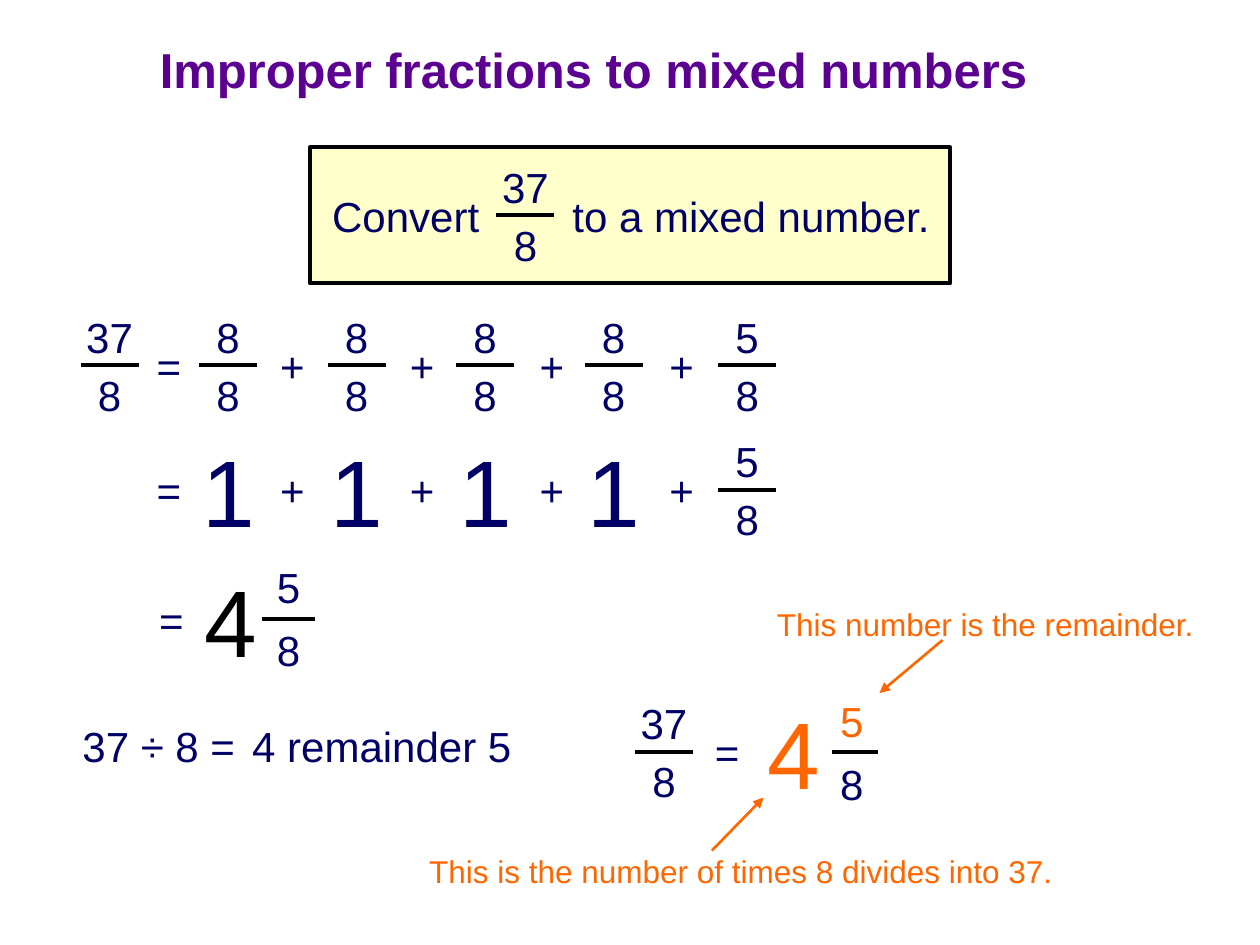
from pptx import Presentation
from pptx.dml.color import RGBColor
from pptx.enum.shapes import MSO_CONNECTOR, MSO_SHAPE
from pptx.enum.text import MSO_ANCHOR, MSO_AUTO_SIZE, PP_ALIGN
from pptx.oxml.ns import qn
from pptx.util import Inches, Pt
from lxml import etree

COLORS = {
    "title": "5B0091",
    "text": "010066",
    "black": "000000",
    "accent": "FF6600",
    "panel": "FFFFCC",
}

deck = Presentation()
deck.slide_width = Inches(10)
deck.slide_height = Inches(7.5)
page = deck.slides.add_slide(deck.slide_layouts[5])


def add_label(text, center, top, width=0.39, height=0.5, size=24, color="text"):
    box = page.shapes.add_textbox(
        Inches(center - width / 2), Inches(top), Inches(width), Inches(height)
    )
    box.text_frame.word_wrap = False
    box.text_frame.auto_size = MSO_AUTO_SIZE.SHAPE_TO_FIT_TEXT
    para = box.text_frame.paragraphs[0]
    para.alignment = PP_ALIGN.CENTER
    span = para.add_run()
    span.text = text
    span.font.name = "Arial"
    span.font.size = Pt(size)
    span.font.color.rgb = RGBColor.from_string(COLORS[color])


def add_line(start, end, color="black", weight=2.25, arrow=False):
    line = page.shapes.add_connector(
        MSO_CONNECTOR.STRAIGHT, *[Inches(value) for value in (*start, *end)]
    )
    line.line.color.rgb = RGBColor.from_string(COLORS[color])
    line.line.width = Pt(weight)
    if arrow:
        etree.SubElement(line.line._get_or_add_ln(), qn("a:tailEnd"), type="triangle")
    etree.SubElement(line._element.spPr, qn("a:effectLst"))


title = page.shapes.title
title.left, title.top = Inches(0.17), Inches(0.17)
title.width, title.height = Inches(9.08), Inches(0.75)
title.text_frame.text = "Improper fractions to mixed numbers"
title.text_frame.vertical_anchor = MSO_ANCHOR.MIDDLE
para = title.text_frame.paragraphs[0]
para.alignment = PP_ALIGN.CENTER
para.font.name = "Arial"
para.font.size = Pt(28)
para.font.bold = True
para.font.color.rgb = RGBColor.from_string(COLORS["title"])

panel = page.shapes.add_shape(
    MSO_SHAPE.RECTANGLE, Inches(2.46), Inches(1.17), Inches(5.08), Inches(1.08)
)
panel.shadow.inherit = False
panel.fill.solid()
panel.fill.fore_color.rgb = RGBColor.from_string(COLORS["panel"])
panel.line.color.rgb = RGBColor.from_string(COLORS["black"])
panel.line.width = Pt(2.25)
add_label("Convert", 3.22, 1.46, width=1.4)
add_label("to a mixed number.", 5.96, 1.46, width=3.15)

term_centers = [1.81 + 1.02 * column for column in range(4)]
plus_centers = [2.32 + 1.03 * column for column in range(4)]
last_center = 5.93

fractions = [("37", 4.17, 1.71), ("37", 0.87, 2.9), ("37", 5.27, 5.97)]
fractions += [("8", center, 2.9) for center in term_centers]
fractions += [("5", last_center, bar) for bar in (2.9, 3.89)]
for numerator, center, bar in fractions:
    add_label(numerator, center, bar - 0.48, width=0.57)
    add_line((center - 0.23, bar), (center + 0.23, bar))
    add_label("8", center, bar - 0.02)

for top in (2.65, 3.64):
    add_label("=", 1.34, top)
    for center in plus_centers:
        add_label("+", center, top)

for center in term_centers:
    add_label("1", center, 3.39, width=0.61, height=1, size=54)

mixed_numbers = [
    (1.83, 4.42, 2.29, 4.91, 2.08, "black", "text"),
    (6.3, 5.47, 6.76, 5.97, 6.6, "accent", "accent"),
]
for whole_center, whole_top, center, bar, bar_left, whole_color, top_color in mixed_numbers:
    add_label("4", whole_center, whole_top, width=0.61, height=1, size=54, color=whole_color)
    add_label("5", center, bar - 0.5, color=top_color)
    add_line((bar_left, bar), (center + 0.21, bar))
    add_label("8", center, bar)

add_label("=", 1.36, 4.67)
add_label("=", 5.77, 5.72)
add_label("37 ÷ 8 =", 1.26, 5.67, width=1.45)
add_label("4 remainder 5", 3.03, 5.67, width=2.35)

add_label("This number is the remainder.", 7.82, 4.75, width=3.6, height=0.4, size=18, color="accent")
add_label("This is the number of times 8 divides into 37.", 5.88, 6.71, width=5.3, height=0.4, size=18, color="accent")
add_line((7.48, 5.08), (6.98, 5.5), color="accent", weight=1.5, arrow=True)
add_line((5.65, 6.75), (6.06, 6.33), color="accent", weight=1.5, arrow=True)

deck.save("out.pptx")
